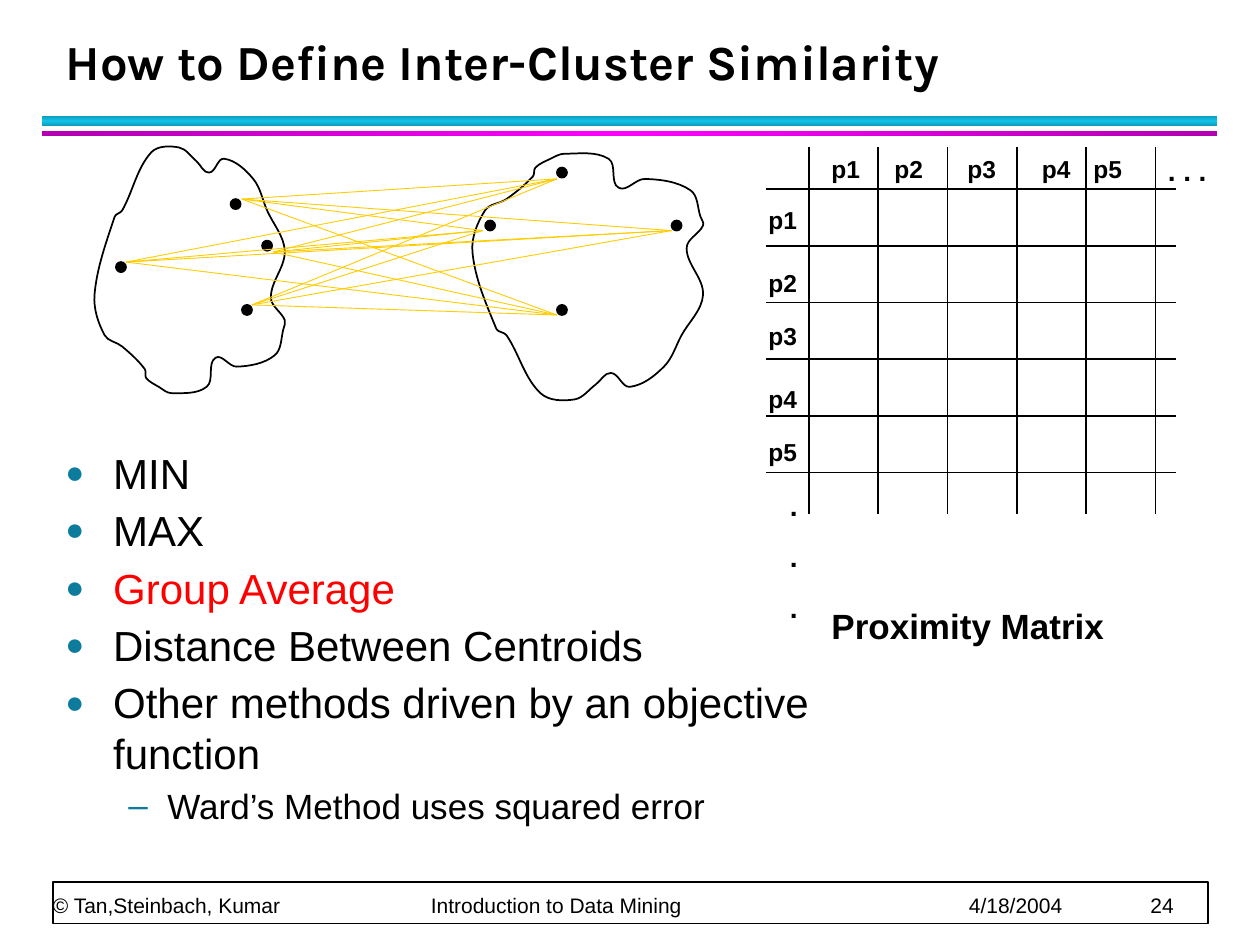
from copy import deepcopy
from math import hypot

from lxml import etree
from pptx import Presentation
from pptx.dml.color import RGBColor
from pptx.enum.shapes import MSO_CONNECTOR, MSO_SHAPE
from pptx.enum.text import MSO_ANCHOR, PP_ALIGN
from pptx.oxml.ns import qn
from pptx.util import Inches, Pt

RECT, OVAL = MSO_SHAPE.RECTANGLE, MSO_SHAPE.OVAL
STRAIGHT = MSO_CONNECTOR.STRAIGHT
TOP, BOTTOM = MSO_ANCHOR.TOP, MSO_ANCHOR.BOTTOM
LEFT = PP_ALIGN.LEFT

COLORS = {
    "ink": "000000", "paper": "FFFFFF", "red": "FF0000", "link": "FFCC00",
    "bullet": "0C7B9C", "teal": "0E9BBA", "cyan": "12C2E9",
    "purple": "B200B2", "magenta": "FF00FF",
}
TITLE = "How to Define Inter-Cluster Similarity"
FOOTER = "© Tan,Steinbach, Kumar\tIntroduction to Data Mining\t4/18/2004\t24"
FOOTER_TABS = (3, 7.27, 8.71)
BANDS = [(0.92, 0.08, "teal", "cyan", 90), (1.04, 0.04, "purple", "magenta", 0)]
METHODS = [
    ("MIN", 0, "ink"),
    ("MAX", 0, "ink"),
    ("Group Average", 0, "red"),
    ("Distance Between Centroids", 0, "ink"),
    ("Other methods driven by an objective function", 0, "ink"),
    ("Ward’s Method uses squared error", 1, "ink"),
]
LEVELS = [(24, 0.38, -0.38, "●", 75), (20, 0.81, -0.31, "–", 100)]
POINTS = ["p1", "p2", "p3", "p4", "p5"]
COLUMN_LABELS = [6.5, 7, 7.58, 8.17, 8.58]
ROW_LABELS = [1.58, 2.08, 2.5, 3, 3.42]
GRID_LEFT, GRID_TOP, COL_STEP, ROW_STEP = 6.42, 1.5, 0.55, 0.45

LEFT_CLOUD = [
    (0.91, 1.72), (0.75, 2.34), (0.83, 2.66), (0.97, 2.75), (1.15, 2.93),
    (1.16, 3), (1.26, 3.07), (1.36, 3.12), (1.64, 3.07), (1.71, 2.84),
    (1.88, 2.91), (2.18, 2.82), (2.25, 2.61), (2.26, 2.54), (2.15, 2.36),
    (2.26, 1.99), (2.12, 1.67), (2.01, 1.42), (1.78, 1.26), (1.66, 1.37),
    (1.56, 1.28), (1.42, 1.17), (1.2, 1.21), (0.97, 1.67),
]
RIGHT_CLOUD = [
    (3.94, 2.61), (3.75, 2), (3.85, 1.67), (4.02, 1.58), (4.23, 1.4),
    (4.25, 1.33), (4.37, 1.26), (4.48, 1.22), (4.83, 1.26), (4.91, 1.49),
    (5.12, 1.42), (5.48, 1.51), (5.56, 1.72), (5.58, 1.79), (5.45, 1.97),
    (5.58, 2.34), (5.41, 2.66), (5.27, 2.91), (5, 3.07), (4.85, 2.96),
    (4.73, 3.05), (4.56, 3.17), (4.29, 3.12), (4.02, 2.66),
]
CLOUD_UNITS = 1000
DOTS = [(1.92, 2.42), (1.83, 1.58), (0.92, 2.08), (2.08, 1.91),
        (5.33, 1.75), (3.85, 1.75), (4.42, 2.42), (4.42, 1.33)]
LINK_STARTS = [(2, 2.42), (2.17, 2), (1, 2.08), (1.92, 1.58)]
LINK_ENDS = [(4.42, 2.5), (3.83, 1.83), (4.42, 1.42), (5.33, 1.83)]


def rgb(name):
    return RGBColor.from_string(COLORS[name])


def add_text(tf, text, size=14, font="Arial", color="ink", bold=False, first=True,
             before=0, after=0, spacing=None, level=None, tabs=()):
    p = tf.paragraphs[0] if first else tf.add_paragraph()
    pPr = p._p.get_or_add_pPr()
    if level is not None:
        _, margin, indent, mark, percent = LEVELS[level]
        p.level = level
        pPr.set("marL", str(Inches(margin)))
        pPr.set("indent", str(Inches(indent)))
        clr = etree.SubElement(pPr, qn("a:buClr"))
        etree.SubElement(clr, qn("a:srgbClr"), val=COLORS["bullet"])
        etree.SubElement(pPr, qn("a:buSzPct"), val=str(percent * 1000))
        etree.SubElement(pPr, qn("a:buFont"), typeface="Arial")
        etree.SubElement(pPr, qn("a:buChar"), char=mark)
    if tabs:
        stops = etree.SubElement(pPr, qn("a:tabLst"))
        for tab in tabs:
            etree.SubElement(stops, qn("a:tab"), pos=str(Inches(tab)), algn="l")
    p.alignment = LEFT
    p.space_before, p.space_after = Pt(before), Pt(after)
    if spacing:
        p.line_spacing = spacing
    r = p.add_run()
    r.text = text
    r.font.size, r.font.name, r.font.bold = Pt(size), font, bold
    r.font.color.rgb = rgb(color)


def add_box(x, y, w, h, anchor=TOP, inset=True):
    tf = slide.shapes.add_textbox(*map(Inches, (x, y, w, h))).text_frame
    tf.word_wrap = True
    tf.vertical_anchor = anchor
    if not inset:
        tf.margin_left = tf.margin_right = tf.margin_top = tf.margin_bottom = 0
    return tf


def add_shape(kind, x, y, w, h, fill, line=None):
    sp = slide.shapes.add_shape(kind, *map(Inches, (x, y, w, h)))
    sp.shadow.inherit = False
    sp.fill.solid()
    sp.fill.fore_color.rgb = rgb(fill)
    if line:
        sp.line.color.rgb = rgb(line)
        sp.line.width = Pt(1)
    else:
        sp.line.fill.background()
    return sp


def add_band(y, h, edge, middle, angle):
    sp = add_shape(RECT, 0.33, y, 9.33, h, edge)
    sp.fill.gradient()
    sp.fill.gradient_angle = angle
    stops = sp._element.spPr.find(".//" + qn("a:gsLst"))
    stops.insert(1, deepcopy(stops[0]))
    for stop, name, position in zip(sp.fill.gradient_stops, (edge, middle, edge), (0, 0.5, 1)):
        stop.color.rgb = rgb(name)
        stop.position = position


def add_line(start, end, color="ink", width=1):
    sp = slide.shapes.add_connector(STRAIGHT, *map(Inches, start + end))
    sp.line.color.rgb = rgb(color)
    sp.line.width = Pt(width)
    etree.SubElement(sp._element.spPr, qn("a:effectLst"))


def handles(a, b, c, d):
    reach = hypot(c[0] - b[0], c[1] - b[1]) / 3
    out = reach / hypot(c[0] - a[0], c[1] - a[1])
    back = reach / hypot(d[0] - b[0], d[1] - b[1])
    return ((b[0] + out * (c[0] - a[0]), b[1] + out * (c[1] - a[1])),
            (c[0] - back * (d[0] - b[0]), c[1] - back * (d[1] - b[1])))


def add_cloud(points):
    vertices = [(round(x * CLOUD_UNITS), round(y * CLOUD_UNITS)) for x, y in points]
    n = len(vertices)
    x0, y0 = map(min, zip(*vertices))
    builder = slide.shapes.build_freeform(*vertices[0], scale=Inches(1) / CLOUD_UNITS)
    builder.add_line_segments(vertices[1:] + vertices[:1], close=True)
    sp = builder.convert_to_shape()
    for i, segment in enumerate(sp._element.spPr.findall(".//" + qn("a:lnTo"))):
        segment.tag = qn("a:cubicBezTo")
        controls = handles(*(vertices[(i + k) % n] for k in (-1, 0, 1, 2)))
        for k, (x, y) in enumerate(controls):
            pt = etree.Element(qn("a:pt"), x=str(round(x - x0)), y=str(round(y - y0)))
            segment.insert(k, pt)
    sp.shadow.inherit = False
    sp.fill.background()
    sp.line.color.rgb = rgb("ink")
    sp.line.width = Pt(1)


prs = Presentation()
prs.slide_width, prs.slide_height = Inches(10), Inches(7.5)
slide = prs.slides.add_slide(prs.slide_layouts[5])

for band in BANDS:
    add_band(*band)
add_shape(RECT, 0.42, 7, 9.17, 0.33, "paper", "ink")
add_text(add_box(0.42, 6.72, 9.15, 0.56, BOTTOM, inset=False), FOOTER,
         size=12, spacing=Pt(20), tabs=FOOTER_TABS)

title = slide.shapes.title
title.left, title.top, title.width, title.height = map(Inches, (0.42, 0.17, 9.06, 0.6))
title.text_frame.vertical_anchor = BOTTOM
add_text(title.text_frame, TITLE, size=28, font="Karla", bold=True, spacing=Pt(36))

for i in range(6):
    x, y = GRID_LEFT + i * COL_STEP, GRID_TOP + i * ROW_STEP
    add_line((x, 1.17), (x, 4.08))
    add_line((6.08, y), (9.33, y))
for name, x, y in zip(POINTS, COLUMN_LABELS, ROW_LABELS):
    add_text(add_box(x, 1.17, 0.58, 0.34), name, bold=True)
    add_text(add_box(6, y, 0.58, 0.34), name, bold=True)
add_text(add_box(9.17, 1.17, 0.58, 0.37), ". . .", size=16, bold=True)
tf = add_box(6.17, 3.83, 0.58, 1.18)
for i in range(3):
    add_text(tf, ".", size=16, bold=True, first=i == 0, before=10 if i else 0)
add_text(add_box(6.5, 4.75, 2.75, 0.44), "Proximity Matrix", size=20, bold=True)

add_cloud(LEFT_CLOUD)
add_cloud(RIGHT_CLOUD)
for x, y in DOTS:
    add_shape(OVAL, x, y, 0.08, 0.08, "ink", "ink")
for start in LINK_STARTS:
    for end in LINK_ENDS:
        add_line(start, end, "link", 0.5)

tf = add_box(0.42, 3.5, 6.33, 3.42)
for i, (text, level, color) in enumerate(METHODS):
    add_text(tf, text, size=LEVELS[level][0], color=color, first=i == 0,
             before=2 if i else 0, after=2, level=level)

prs.save("out.pptx")
